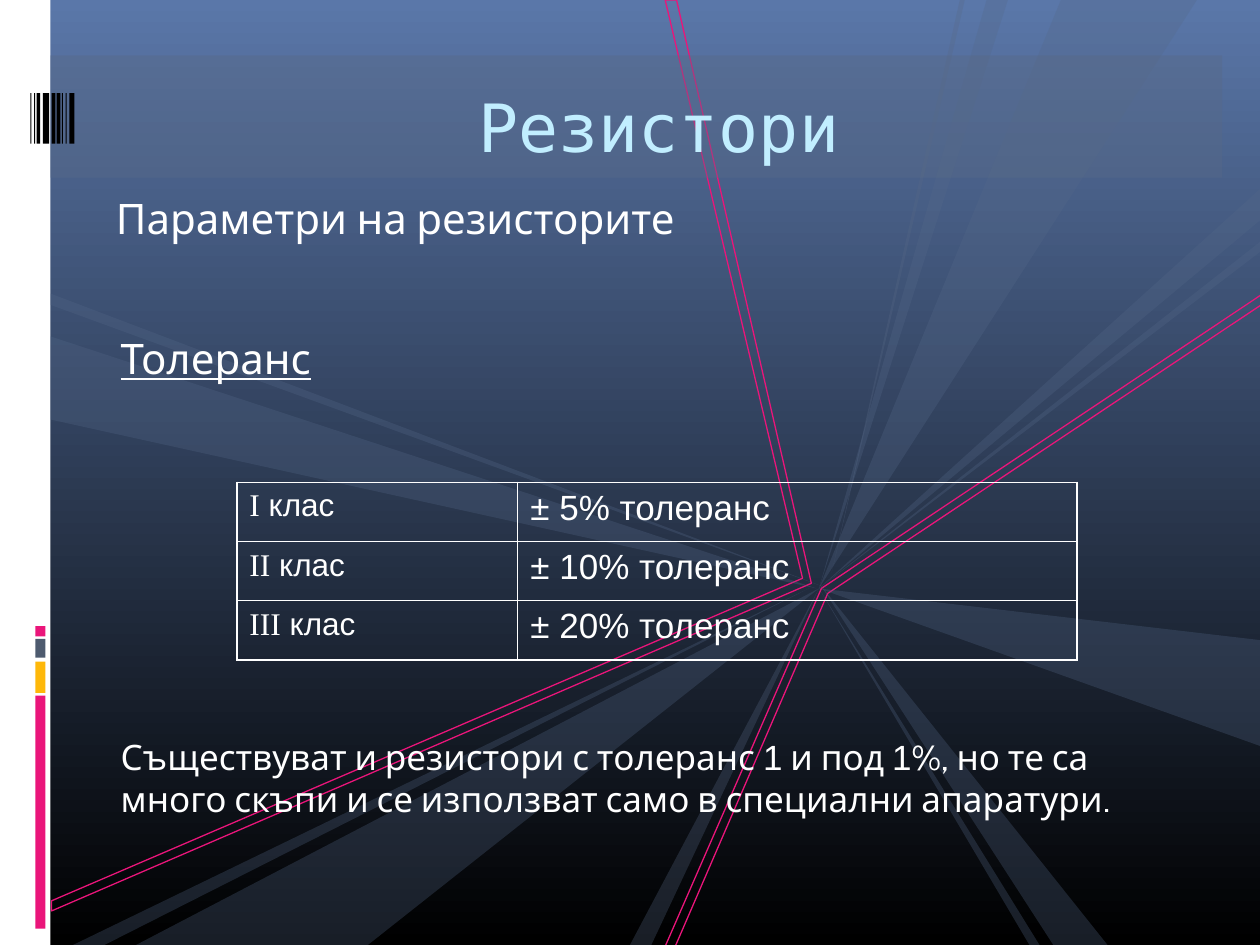
from lxml import etree
from pptx import Presentation
from pptx.dml.color import RGBColor
from pptx.enum.shapes import MSO_SHAPE
from pptx.enum.text import MSO_ANCHOR, PP_ALIGN
from pptx.oxml.ns import qn
from pptx.util import Inches, Pt

RECT = MSO_SHAPE.RECTANGLE
TOP, MIDDLE = MSO_ANCHOR.TOP, MSO_ANCHOR.MIDDLE
LEFT, CENTER = PP_ALIGN.LEFT, PP_ALIGN.CENTER

HUES = {
    "sky": "5A77A9", "black": "000000", "white": "FFFFFF", "pink": "EA157A",
    "gold": "FEB80A", "slate": "4E5B6F", "ray": "556989", "band": "586986",
    "title": "C1EEFF",
}
BODY, SANS, SERIF, MONO = "Cabin", "Arial", "Times New Roman", "DejaVu Sans Mono"

# left, width
BARS = [(0.34, 0.05), (0.29, 0.03), (0.27, 0.01), (0.24, 0.01), (0.41, 0.03),
        (0.45, 0.03), (0.49, 0.01), (0.52, 0.01), (0.55, 0.04)]
# top, height, colour
BLOCKS = [(5.52, 1.85, "pink"), (5.25, 0.25, "gold"),
          (5.07, 0.15, "slate"), (4.97, 0.08, "pink")]
BEAMS = [
    [(5.28, 7.51), (6.52, 4.67), (10.01, 2.34), (10.01, 2.42), (6.57, 4.71), (5.36, 7.51)],
    [(0.41, 7.15), (0.41, 7.23), (6.44, 4.63), (5.37, 0), (5.28, 0), (6.37, 4.59)],
]
HUB = (6.5, 4.67)
# tip, two outer corners, colour
RAYS = [
    ((6.6, 4.55), (7.62, -0.01), (7.66, -0.01), "band"),
    (HUB, (8.42, 0), (9.5, 0), "ray"),
    (HUB, (10, 5.08), (10, 5.92), "ray"),
    (HUB, (7.83, 0), (8, 0), "ray"),
    ((6.51, 4.64), (8.36, 7.5), (8.79, 7.5), "ray"),
    (HUB, (8.17, 7.5), (8.25, 7.5), "ray"),
    (HUB, (10, 1.5), (10, 1.75), "ray"),
    (HUB, (10, 1.92), (10, 2), "ray"),
    (HUB, (2.92, 7.5), (1.08, 7.5), "ray"),
    ((6.42, 4.67), (0.83, 7.5), (0.58, 7.5), "ray"),
    ((6.48, 4.67), (0.4, 3.33), (0.4, 2.67), "ray"),
    ((6.57, 4.67), (0.4, 2.42), (0.4, 2.33), "ray"),
    (HUB, (5, 7.5), (5.17, 7.5), "band"),
]
GRADES = [("I", "± 5% толеранс"), ("II", "± 10% толеранс"), ("III", "± 20% толеранс")]


def tint(name):
    return RGBColor.from_string(HUES[name])


class Deck:
    """Holds the slide being built and its shared style."""

    def __init__(self):
        self.file = Presentation()
        self.file.slide_width, self.file.slide_height = Inches(10), Inches(7.5)
        self.slide = self.file.slides.add_slide(self.file.slide_layouts[6])
        self.shapes = self.slide.shapes

    def back(self, *names):
        fill = self.slide.background.fill
        fill.gradient()
        fill.gradient_angle = 270
        for stop, name in zip(fill.gradient_stops, names):
            stop.color.rgb = tint(name)

    def paint(self, shape, fill, alpha=None, line=None):
        """Set fill, opacity in percent, and outline."""
        shape.shadow.inherit = False
        if fill:
            shape.fill.solid()
            shape.fill.fore_color.rgb = tint(fill)
        else:
            shape.fill.background()
        if alpha:
            node = shape._element.spPr.find(".//" + qn("a:srgbClr"))
            etree.SubElement(node, qn("a:alpha"), val=str(alpha * 1000))
        if line:
            shape.line.color.rgb = tint(line)
            shape.line.width = Pt(0.75)
        else:
            shape.line.fill.background()

    def rect(self, box, fill, alpha=None):
        self.paint(self.shapes.add_shape(RECT, *map(Inches, box)), fill, alpha)

    def poly(self, points, fill=None, alpha=None, line=None):
        start, *rest = [(Inches(x), Inches(y)) for x, y in points]
        path = self.shapes.build_freeform(*start)
        path.add_line_segments(rest, close=True)
        self.paint(path.convert_to_shape(), fill, alpha, line)

    def runs(self, para, parts, color="white", **style):
        """Add (text, format) parts, each starting from the shared style."""
        for text, extra in parts:
            run = para.add_run()
            run.text = text
            run.font.color.rgb = tint(color)
            for key, value in {**style, **extra}.items():
                setattr(run.font, key, value)

    def text(self, box, parts, pads=(0.1, 0.05, 0.1, 0.05), anchor=TOP,
             align=LEFT, indent=0, **style):
        frame = self.shapes.add_textbox(*map(Inches, box)).text_frame
        left, top, right, bottom = map(Inches, pads)
        form = {"word_wrap": True, "vertical_anchor": anchor,
                "margin_left": left, "margin_top": top,
                "margin_right": right, "margin_bottom": bottom}
        for key, value in form.items():
            setattr(frame, key, value)
        para = frame.paragraphs[0]
        para.alignment = align
        if indent:
            para._p.get_or_add_pPr().set("marL", str(Inches(indent)))
        self.runs(para, parts, **style)

    def edge(self, cell, sides):
        """Draw cell borders; sides maps L, R, T, B to widths in points."""
        props = cell._tc.get_or_add_tcPr()
        for spot, (side, width) in enumerate(sides.items()):
            line = etree.Element(qn("a:ln" + side), w=str(Pt(width)))
            fill = etree.SubElement(line, qn("a:solidFill"))
            etree.SubElement(fill, qn("a:srgbClr"), val=HUES["white"])
            props.insert(spot, line)

    def table(self, left, top, cols, high, rows):
        """Build a clear grid with a heavier outer frame."""
        count, wide = len(rows), len(cols)
        grid = self.shapes.add_table(count, wide, *map(
            Inches, (left, top, sum(cols), high * count))).table
        grid.first_row = grid.horz_banding = False
        for col, width in zip(grid.columns, cols):
            col.width = Inches(width)
        for r, row in enumerate(rows):
            grid.rows[r].height = Inches(high)
            for c, (parts, style, pad, space) in enumerate(row):
                cell = grid.cell(r, c)
                cell.fill.background()
                cell.margin_left = cell.margin_right = Inches(0.1)
                cell.margin_top, cell.margin_bottom = Inches(pad), Inches(0.05)
                para = cell.text_frame.paragraphs[0]
                para.line_spacing = space
                self.runs(para, parts, **style)
                outer = {"L": c == 0, "R": c == wide - 1,
                         "T": r == 0, "B": r == count - 1}
                self.edge(cell, {s: 1.08 if out else 0.75 for s, out in outer.items()})


def main():
    deck = Deck()
    deck.back("sky", "black")
    deck.rect((0, 0, 0.4, 7.5), "white")
    for top, high, name in BLOCKS:
        deck.rect((0.28, top, 0.08, high), name)
    for beam in BEAMS:
        deck.poly(beam, line="pink")
    for *points, name in RAYS:
        deck.poly(points, name, 29)
    deck.rect((0.4, 0.44, 9.3, 0.97), "band", 40)
    for left, wide in BARS:
        deck.rect((left, 0.74, wide, 0.4), "black")

    deck.text((0.77, 1.48, 8.06, 0.63), [("Параметри на резисторите", {})],
              pads=(0.09, 0.05, 0.1, 0), indent=0.06, name=BODY, size=Pt(24))
    deck.text((0.77, 0.56, 8.92, 0.85), [("Резистори", {})],
              pads=(0.1, 0.07, 0.1, 0.05), anchor=MIDDLE, align=CENTER,
              color="title", name=MONO, size=Pt(38))
    deck.text((0.86, 2.59, 5.55, 0.5), [("Толеранс", {})],
              name=BODY, size=Pt(24), underline=True)

    rows = [[([(mark, {"name": SERIF}), (" клас", {})],
              {"name": SANS, "size": Pt(18)}, 0.06, 0.95),
             ([(range_, {})], {"name": SANS, "size": Pt(20)}, 0.07, 0.93)]
            for mark, range_ in GRADES]
    deck.table(1.88, 3.83, (2.23, 4.44), 0.47, rows)

    one = ("1", {"name": SANS})
    deck.text((0.86, 5.79, 8.75, 0.77), [
        ("Съществуват и резистори с толеранс ", {}), one, (" и под ", {}), one,
        ("%, но те са много скъпи и се използват само в специални апаратури.", {}),
    ], name=BODY, size=Pt(20))
    deck.file.save("out.pptx")


if __name__ == "__main__":
    main()
